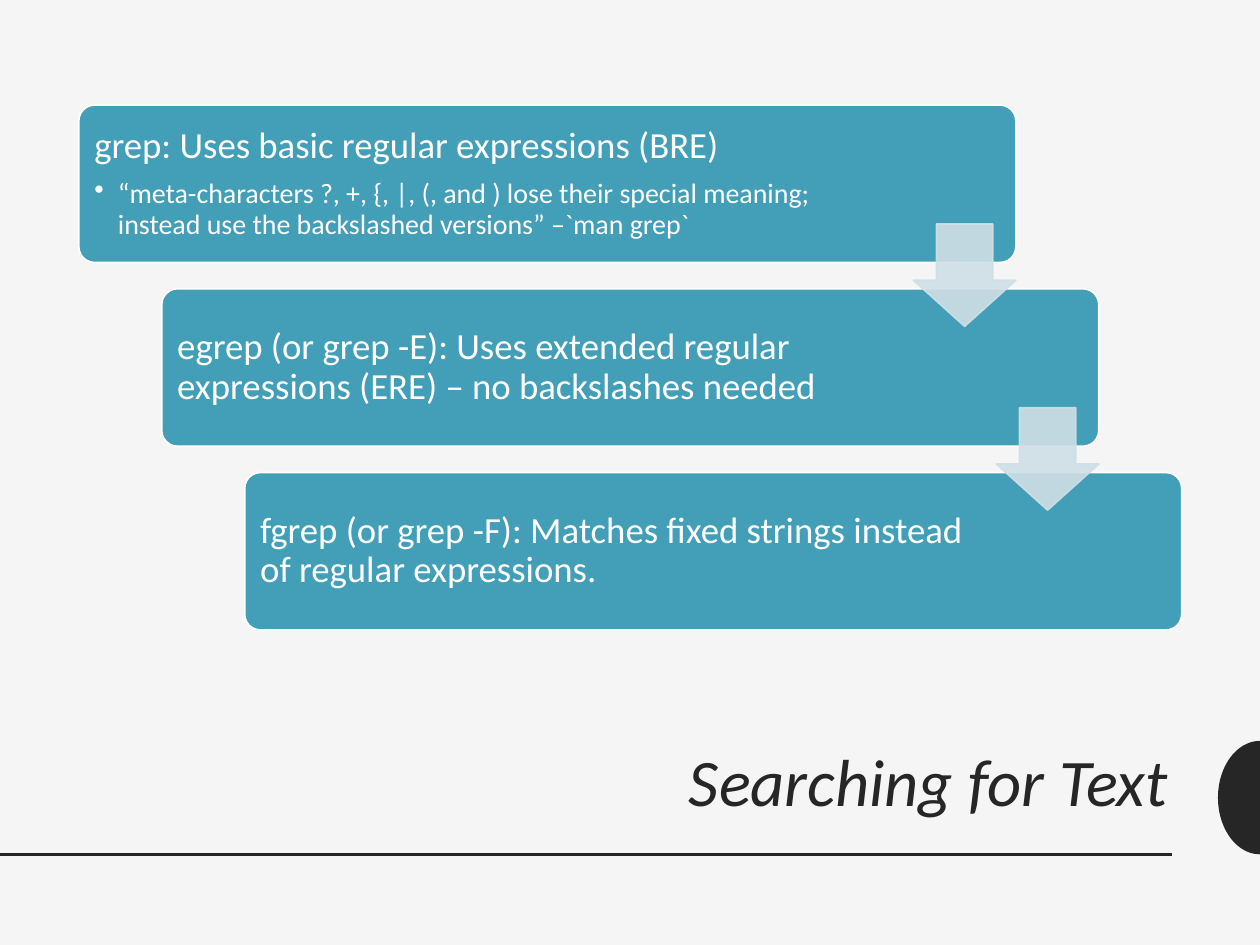
from math import cos, pi, sin

from lxml.etree import SubElement
from pptx import Presentation
from pptx.dml.color import RGBColor
from pptx.enum.shapes import MSO_CONNECTOR as Connector, MSO_SHAPE as Shape
from pptx.enum.text import MSO_ANCHOR as Anchor, MSO_AUTO_SIZE as AutoSize, PP_ALIGN as Align
from pptx.oxml.ns import qn
from pptx.util import Pt

PAPER = RGBColor(0xF5, 0xF5, 0xF5)
INK = RGBColor(0x26, 0x26, 0x26)
TEAL = RGBColor(0x43, 0x9E, 0xB7)
MIST = RGBColor(0xCF, 0xDF, 0xE6)
WHITE = RGBColor(0xFF, 0xFF, 0xFF)
FONT = "Calibri"

COMMANDS = [
    ("grep: Uses basic regular expressions (BRE)",
     "“meta-characters ?, +, {, |, (, and ) lose their special meaning; "
     "instead use the backslashed versions” –`man grep`", 438.5),
    ("egrep (or grep -E): Uses extended regular expressions (ERE) – no backslashes needed",
     None, 425),
    ("fgrep (or grep -F): Matches fixed strings instead of regular expressions.", None, 425),
]
STEP_X, STEP_Y = 47.4, 105


def write(paragraph, text, size, color, italic=False, align=Align.LEFT, after=0, bullet=None):
    if bullet:
        properties = paragraph._p.get_or_add_pPr()
        indent = Pt(13.5)
        properties.set("marL", str(indent))
        properties.set("indent", str(-indent))
        SubElement(properties, qn("a:buChar"), char=bullet)
    paragraph.alignment = align
    paragraph.line_spacing = 0.9
    paragraph.space_before = Pt(0)
    paragraph.space_after = Pt(after)
    run = paragraph.add_run()
    run.text = text
    run.font.name = FONT
    run.font.size = Pt(size)
    run.font.italic = italic
    run.font.color.rgb = color


class CascadeSlide:
    def __init__(self, deck):
        self.slide = deck.slides.add_slide(deck.slide_layouts[5])
        self.shapes = self.slide.shapes
        background = self.slide.background.fill
        background.solid()
        background.fore_color.rgb = PAPER

    def title(self, text, left, top, width, height):
        title = self.shapes.title
        title.left, title.top, title.width, title.height = map(Pt, (left, top, width, height))
        frame = title.text_frame
        frame.auto_size = AutoSize.NONE
        frame.vertical_anchor = Anchor.MIDDLE
        write(frame.paragraphs[0], text, 38, INK, italic=True, align=Align.RIGHT, after=6)

    def rule(self, left, right, y):
        rule = self.shapes.add_connector(Connector.STRAIGHT, Pt(left), Pt(y), Pt(right), Pt(y))
        rule.line.color.rgb = INK
        rule.line.width = Pt(2)
        SubElement(rule._element.spPr, qn("a:effectLst"))

    def half_ellipse(self, right, middle, radius_x, radius_y, steps=48):
        angles = [pi * step / steps for step in range(steps + 1)]
        points = [(Pt(right - radius_x * sin(a)), Pt(middle - radius_y * cos(a))) for a in angles]
        builder = self.shapes.build_freeform(*points[0])
        builder.add_line_segments(points[1:], close=True)
        knob = builder.convert_to_shape()
        knob.shadow.inherit = False
        knob.fill.solid()
        knob.fill.fore_color.rgb = INK
        knob.line.fill.background()

    def block(self, kind, left, top, width, height, fill, line, adjustments, opacity=None):
        block = self.shapes.add_shape(kind, Pt(left), Pt(top), Pt(width), Pt(height))
        block.shadow.inherit = False
        for index, value in enumerate(adjustments):
            block.adjustments[index] = value
        block.fill.solid()
        block.fill.fore_color.rgb = fill
        block.line.color.rgb = line
        block.line.width = Pt(1)
        if opacity is not None:
            for color in block._element.spPr.iter(qn("a:srgbClr")):
                SubElement(color, qn("a:alpha"), val=str(opacity * 1000))

    def caption(self, heading, detail, left, top, width, height):
        box = self.shapes.add_textbox(Pt(left), Pt(top), Pt(width), Pt(height))
        frame = box.text_frame
        frame.word_wrap = True
        frame.vertical_anchor = Anchor.MIDDLE
        frame.margin_left = frame.margin_right = Pt(6.3)
        frame.margin_top = frame.margin_bottom = Pt(6.3)
        write(frame.paragraphs[0], heading, 21, WHITE, after=7.35)
        if detail:
            write(frame.add_paragraph(), detail, 16, WHITE, after=2.4, bullet="•")


def main():
    deck = Presentation()
    deck.slide_width, deck.slide_height = Pt(720), Pt(540)
    slide = CascadeSlide(deck)
    slide.title("Searching for Text", 45, 412, 630, 73.5)
    slide.rule(0, 669.6, 488.2)
    slide.half_ellipse(720, 455.8, 24, 32.4)
    for index, (heading, detail, text_width) in enumerate(COMMANDS):
        left, top = 45 + index * STEP_X, 60 + index * STEP_Y
        slide.block(Shape.ROUNDED_RECTANGLE, left, top, 535.5, 90, TEAL, WHITE, [0.1])
        slide.caption(heading, detail, left + 2.6, top + 2.6, text_width, 84.8)
    for index in range(len(COMMANDS) - 1):
        slide.block(Shape.DOWN_ARROW, 522 + index * STEP_X, 128 + index * STEP_Y, 58.5, 58.5,
                    MIST, MIST, [0.55, 0.45], opacity=90)
    deck.save("out.pptx")


if __name__ == "__main__":
    main()
